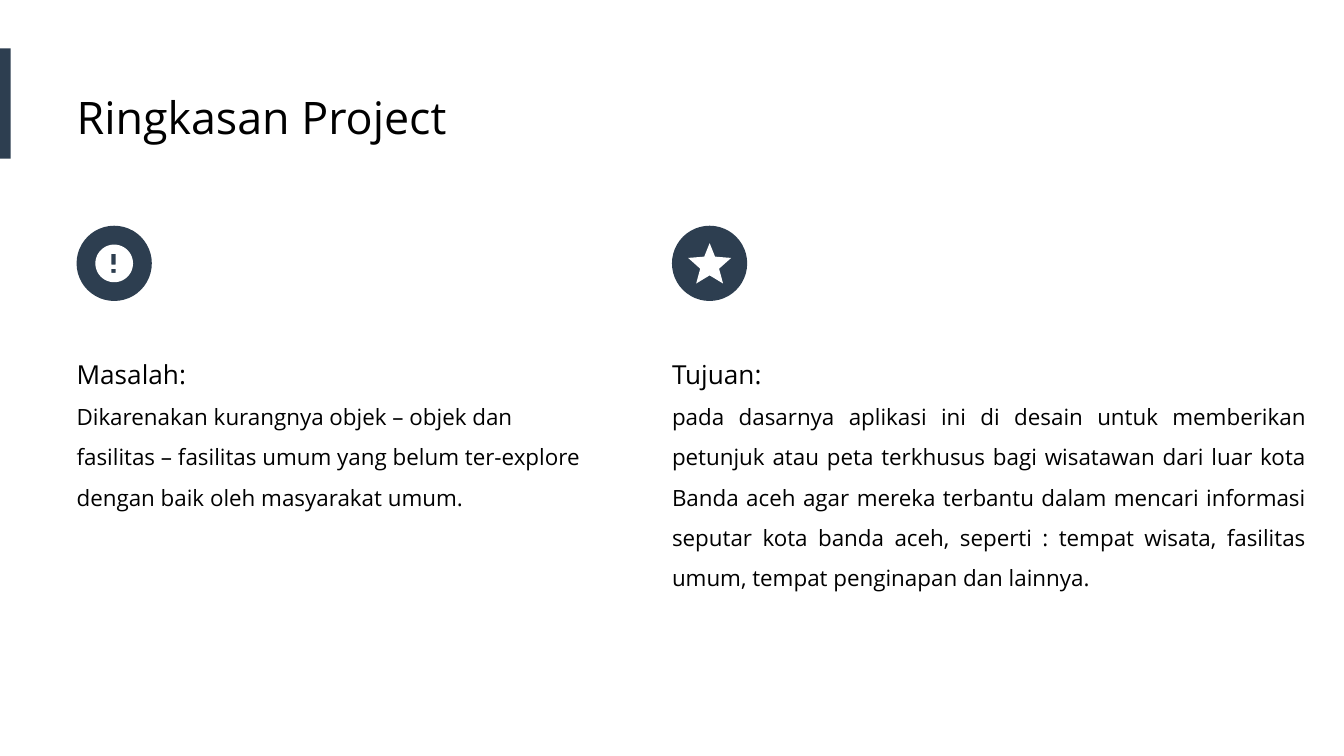
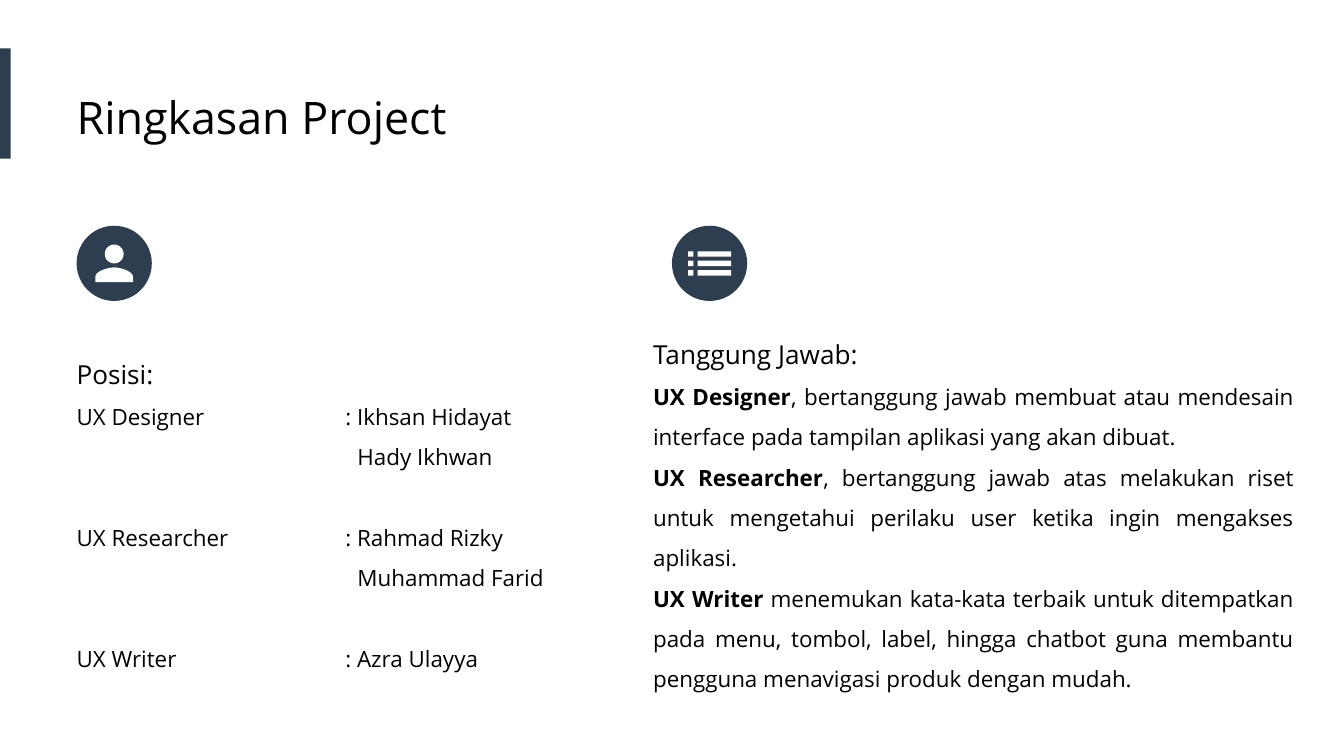
import math
from dataclasses import dataclass

from lxml import etree
from pptx import Presentation
from pptx import util as u
from pptx.dml.color import RGBColor
from pptx.enum import shapes, text
from pptx.oxml import ns


@dataclass(frozen=True)
class Theme:
    navy: RGBColor = RGBColor(0x2D, 0x3E, 0x50)
    white: RGBColor = RGBColor(0xFF, 0xFF, 0xFF)
    black: RGBColor = RGBColor(0, 0, 0)
    font: str = "Open Sans"
    title_size: int = 24
    heading_size: int = 14
    body_size: int = 12
    line_spacing: float = 1.5
    group_gap: float = 21.6


THEME = Theme()
PAGE_WIDTH = u.Inches(10)
PAGE_HEIGHT = PAGE_WIDTH * 9 // 16
BADGE_SIZE = 0.56
LEFT, RIGHT, BADGE_TOP = 0.57, 5, 1.68
COLON_TAB, NAME_TAB = 2, 2.09


def paint(shape, color):
    shape.fill.solid()
    shape.fill.fore_color.rgb = color
    shape.line.fill.background()
    shape.shadow.inherit = False


def add_filled(page, kind, box, color):
    paint(page.shapes.add_shape(kind, *map(u.Inches, box)), color)


def add_text_box(page, box):
    frame = page.shapes.add_textbox(*map(u.Inches, box)).text_frame
    frame.word_wrap = True
    frame.auto_size = text.MSO_AUTO_SIZE.SHAPE_TO_FIT_TEXT
    frame.margin_left = 0
    frame.margin_top = frame.margin_right = frame.margin_bottom = u.Inches(0.1)
    return frame


def style_runs(para, size):
    for span in para.runs:
        span.font.name = THEME.font
        span.font.size = u.Pt(size)
        span.font.color.rgb = THEME.black


def set_tab(para, position):
    tabs = etree.SubElement(para._p.get_or_add_pPr(), ns.qn("a:tabLst"))
    etree.SubElement(tabs, ns.qn("a:tab"), pos=str(u.Inches(position)), algn="l")


# Icon outlines: lists of closed contours, in inches from the badge centre.

def rectangle(left, top, width, height):
    right, bottom = left + width, top + height
    return [(left, top), (right, top), (right, bottom), (left, bottom)]


def circle(center_y, radius, steps=60):
    angles = [2 * math.pi * i / steps for i in range(steps)]
    return [(radius * math.cos(a), center_y + radius * math.sin(a)) for a in angles]


def curve(start, control1, control2, end, steps=16):
    """Points along a cubic Bézier curve."""
    def blend(t, a, b, c, d):
        s = 1 - t
        return s**3 * a + 3 * s * s * t * b + 3 * s * t * t * c + t**3 * d

    return [tuple(blend(i / steps, *axis) for axis in zip(start, control1, control2, end))
            for i in range(steps + 1)]


def mirrored(half):
    """Close a left or right half into a symmetric contour."""
    return half + [(-x, y) for x, y in reversed(half)]


def alert_icon():
    return [circle(0, 0.14), rectangle(-0.02, -0.07, 0.03, 0.08),
            rectangle(-0.02, 0.04, 0.03, 0.03)]


def star_icon():
    return [mirrored([(0, 0.09), (0.1, 0.15), (0.07, 0.04), (0.16, -0.04),
                      (0.04, -0.05), (0, -0.15)])]


def person_icon():
    shoulder = curve((0, 0.03), (-0.05, 0.03), (-0.14, 0.06), (-0.14, 0.1))
    return [circle(-0.07, 0.07), mirrored(shoulder + [(-0.14, 0.14)])]


def list_icon():
    return [rectangle(left, -0.09 + 0.07 * row, width, 0.04)
            for row in range(3) for left, width in ((-0.16, 0.04), (-0.09, 0.25))]


def add_badge(page, left, top, contours):
    add_filled(page, shapes.MSO_SHAPE.OVAL, (left, top, BADGE_SIZE, BADGE_SIZE), THEME.navy)
    center_x, center_y = left + BADGE_SIZE / 2, top + BADGE_SIZE / 2
    placed = [[(u.Inches(center_x + x), u.Inches(center_y + y)) for x, y in contour]
              for contour in contours]
    builder = page.shapes.build_freeform(*placed[0][0])
    for index, contour in enumerate(placed):
        if index:
            builder.move_to(*contour[0])
        builder.add_line_segments(contour[1:], close=True)
    paint(builder.convert_to_shape(), THEME.white)


def add_header(page, title):
    add_filled(page, shapes.MSO_SHAPE.RECTANGLE, (0, 0.36, 0.08, 0.82), THEME.navy)
    para = add_text_box(page, (LEFT, 0.57, 6.73, 0.61)).paragraphs[0]
    para.text = title
    style_runs(para, THEME.title_size)


def add_section(page, box, heading):
    frame = add_text_box(page, box)
    para = frame.paragraphs[0]
    para.text = heading
    para.line_spacing = THEME.line_spacing
    style_runs(para, THEME.heading_size)
    return frame


def add_body(frame, content, lead="", justify=False):
    """Add a body paragraph, opened by a bold lead if there is one."""
    para = frame.add_paragraph()
    para.line_spacing = THEME.line_spacing
    if justify:
        para.alignment = text.PP_ALIGN.JUSTIFY
    if lead:
        para.text = lead
        para.runs[0].font.bold = True
    para.add_run().text = content
    style_runs(para, THEME.body_size)
    return para


def add_roles(frame, roles):
    for index, (role, (first, *others)) in enumerate(roles):
        para = add_body(frame, f"{role}\t: {first}")
        if index:
            para.space_before = u.Pt(THEME.group_gap)
        set_tab(para, COLON_TAB)
        for name in others:
            set_tab(add_body(frame, f"\t{name}"), NAME_TAB)


def add_summary_page(deck, left_icon, right_icon):
    page = deck.slides.add_slide(deck.slide_layouts[6])
    add_header(page, "Ringkasan Project")
    add_badge(page, LEFT, BADGE_TOP, left_icon)
    add_badge(page, RIGHT, BADGE_TOP, right_icon)
    return page


def build_goal_page(deck):
    page = add_summary_page(deck, alert_icon(), star_icon())
    problem = add_section(page, (LEFT, 2.45, 3.96, 1.46), "Masalah:")
    add_body(problem, "Dikarenakan kurangnya objek – objek dan fasilitas – fasilitas umum "
                      "yang belum ter-explore dengan baik oleh masyarakat umum.")
    goal = add_section(page, (RIGHT, 2.45, 4.82, 2.07), "Tujuan:")
    add_body(goal, "pada dasarnya aplikasi ini di desain untuk memberikan petunjuk atau peta "
                   "terkhusus bagi wisatawan dari luar kota Banda aceh agar mereka terbantu "
                   "dalam mencari informasi seputar kota banda aceh, seperti : tempat wisata, "
                   "fasilitas umum, tempat penginapan dan lainnya.", justify=True)


def build_team_page(deck):
    page = add_summary_page(deck, person_icon(), list_icon())
    positions = add_section(page, (LEFT, 2.45, 3.77, 2.68), "Posisi:")
    add_roles(positions, [
        ("UX Designer", ["Ikhsan Hidayat", "Hady Ikhwan"]),
        ("UX Researcher", ["Rahmad Rizky", "Muhammad Farid"]),
        ("UX Writer", ["Azra Ulayya"]),
    ])
    duties = add_section(page, (4.86, 2.3, 4.87, 2.98), "Tanggung Jawab:")
    for role, duty in (
        ("UX Designer", ", bertanggung jawab membuat atau mendesain interface pada tampilan "
                        "aplikasi yang akan dibuat."),
        ("UX Researcher", ", bertanggung jawab atas melakukan riset untuk mengetahui perilaku "
                          "user ketika ingin mengakses aplikasi."),
        ("UX Writer", " menemukan kata-kata terbaik untuk ditempatkan pada menu, tombol, "
                      "label, hingga chatbot guna membantu pengguna menavigasi produk "
                      "dengan mudah."),
    ):
        add_body(duties, duty, lead=role, justify=True)


def main():
    deck = Presentation()
    deck.slide_width, deck.slide_height = PAGE_WIDTH, PAGE_HEIGHT
    build_goal_page(deck)
    build_team_page(deck)
    deck.save("out.pptx")


if __name__ == "__main__":
    main()
